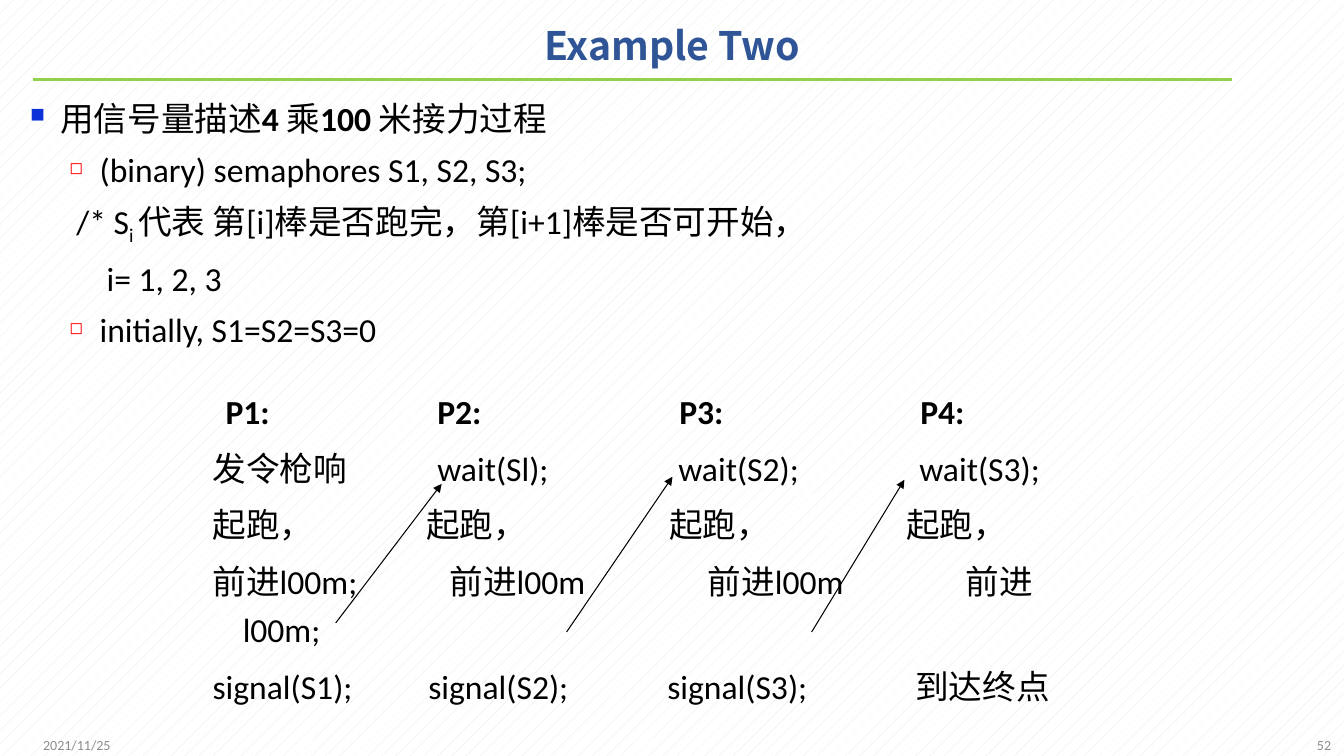
"""Build the relay-race semaphore slide."""
from typing import NamedTuple

from lxml import etree
from pptx import Presentation
from pptx import util as u
from pptx.dml.color import RGBColor
from pptx.enum import dml, shapes, text
from pptx.oxml import ns

COLORS = {
    "black": "000000", "title": "2F5597", "rule": "92D050", "footer": "8C8C8C",
    "square": "0B32D9", "box": "FF0000", "hatch": "DCECE0", "paper": "FFFFFF",
}
CJK_FONT = "Noto Sans CJK SC"
ROW_HEIGHT = u.Pt(34.7)
ROW_GAP = 5.6


class Run(NamedTuple):
    content: str
    bold: bool = False
    subscript: bool = False


class Style(NamedTuple):
    size: float = 24
    color: str = "black"
    font: str = "Calibri"


class Bullet(NamedTuple):
    symbol: str
    color: str
    percent: int


class Line(NamedTuple):
    runs: list[Run]
    margin: float = 0
    hanging: float = 0
    spacing: float | u.Length = 1.0
    before: float = 0
    bullet: Bullet | None = None
    align: text.PP_ALIGN = text.PP_ALIGN.LEFT


class Box(NamedTuple):
    left: float
    top: float
    width: float
    height: float
    lines: list[Line]
    style: Style = Style()
    anchor: text.MSO_ANCHOR = text.MSO_ANCHOR.TOP


class Process(NamedTuple):
    left: float
    steps: list[str]
    margins: list[float]


class Stroke(NamedTuple):
    start: tuple[float, float]
    end: tuple[float, float]
    color: str = "black"
    width: float = 0.75
    arrow: bool = True


def add_element(parent, tag: str, **attributes: str):
    element = etree.SubElement(parent, ns.qn(tag))
    for name, value in attributes.items():
        element.set(name, value)
    return element


def add_run(paragraph, run: Run, style: Style) -> None:
    new_run = paragraph.add_run()
    new_run.text = run.content
    font = new_run.font
    font.size, font.bold, font.name = u.Pt(style.size), run.bold, style.font
    font.color.rgb = RGBColor.from_string(COLORS[style.color])
    properties = new_run._r.get_or_add_rPr()
    add_element(properties, "a:ea", typeface=CJK_FONT)
    if run.subscript:
        properties.set("baseline", "-25000")


def format_paragraph(paragraph, line: Line) -> None:
    paragraph.alignment = line.align
    paragraph.line_spacing = line.spacing
    paragraph.space_before = u.Pt(line.before)
    properties = paragraph._p.get_or_add_pPr()
    properties.set("marL", str(u.Inches(line.margin)))
    properties.set("indent", str(-u.Inches(line.hanging)))
    if line.bullet:
        color = add_element(properties, "a:buClr")
        add_element(color, "a:srgbClr", val=COLORS[line.bullet.color])
        add_element(properties, "a:buSzPct", val=str(line.bullet.percent * 1000))
        add_element(properties, "a:buChar", char=line.bullet.symbol)


def add_box(slide, box: Box) -> None:
    shape = slide.shapes.add_textbox(
        u.Inches(box.left), u.Inches(box.top), u.Inches(box.width), u.Inches(box.height))
    frame = shape.text_frame
    frame.word_wrap = True
    frame.vertical_anchor = box.anchor
    for index, line in enumerate(box.lines):
        paragraph = frame.add_paragraph() if index else frame.paragraphs[0]
        format_paragraph(paragraph, line)
        for run in line.runs:
            if run.content == "\n":
                paragraph.add_line_break()
            else:
                add_run(paragraph, run, box.style)


def add_stroke(slide, stroke: Stroke) -> None:
    points = (u.Inches(value) for value in (*stroke.start, *stroke.end))
    connector = slide.shapes.add_connector(shapes.MSO_CONNECTOR.STRAIGHT, *points)
    connector.line.width = u.Pt(stroke.width)
    connector.line.color.rgb = RGBColor.from_string(COLORS[stroke.color])
    if stroke.arrow:
        add_element(connector.line._get_or_add_ln(), "a:tailEnd", type="triangle")
    add_element(connector._element.spPr, "a:effectLst")


def process_box(process: Process, overflow: str = "") -> Box:
    lines = []
    last = len(process.steps) - 1
    for index, (step, margin) in enumerate(zip(process.steps, process.margins)):
        runs, hanging = [Run(step, bold=index == 0)], 0.0
        before = ROW_GAP if index else 0
        if overflow and index == last - 1:
            runs += [Run("\n"), Run(overflow)]
            margin = hanging = 0.3
        elif not overflow and index == last:
            before += ROW_HEIGHT.pt
        lines.append(Line(runs, margin, hanging, ROW_HEIGHT, before))
    return Box(process.left, 3.75, 2.3, 3.41, lines)


def detail(runs: list[Run], margin: float, bullet: Bullet | None = None) -> Line:
    return Line(runs, margin, 0.3 if bullet else 0, 1.1, 5, bullet)


SQUARE = Bullet("■", "square", 60)
HOLLOW = Bullet("◻", "box", 50)
FOOTER = Style(10, "footer")
MIDDLE = text.MSO_ANCHOR.MIDDLE

BOXES = [
    Box(0.34, 0.09, 12.65, 0.77,
        [Line([Run("Example Two", True)], spacing=0.9, align=text.PP_ALIGN.CENTER)],
        Style(28, "title", CJK_FONT), MIDDLE),
    Box(0.2, 0.84, 12.94, 2.8, [
        Line([Run("用信号量描述"), Run("4 ", True), Run("乘"), Run("100 ", True),
              Run("米接力过程")], 0.3, 0.3, 1.2, bullet=SQUARE),
        detail([Run("(binary) semaphores S1, S2, S3;")], 0.69, HOLLOW),
        detail([Run("/* S"), Run("i ", subscript=True),
                Run("代表 第[i]棒是否跑完，第[i+1]棒是否可开始，")], 0.46),
        detail([Run("i= 1, 2, 3")], 0.76),
        detail([Run("initially, S1=S2=S3=0")], 0.69, HOLLOW),
    ]),
    Box(0.33, 7.19, 3, 0.4, [Line([Run("2021/11/25")])], FOOTER, MIDDLE),
    Box(10.3, 7.19, 3, 0.4, [Line([Run("52")], align=text.PP_ALIGN.RIGHT)],
        FOOTER, MIDDLE),
    process_box(Process(2.01, ["P1:", "发令枪响", "起跑，", "前进l00m;", "signal(S1);"],
                        [0.13, 0, 0, 0, 0]), overflow="l00m;"),
    process_box(Process(4.13, ["P2:", "wait(Sl);", "起跑，", "前进l00m", "signal(S2);"],
                        [0.11, 0.11, 0, 0.23, 0.02])),
    process_box(Process(6.52, ["P3:", "wait(S2);", "起跑，", "前进l00m", "signal(S3);"],
                        [0.12, 0.11, 0.02, 0.4, 0])),
    process_box(Process(8.89, ["P4:", "wait(S3);", "起跑，", "前进", "到达终点"],
                        [0.14, 0.13, 0, 0.59, 0.09])),
]

STROKES = [
    Stroke((0.33, 0.79), (12.22, 0.79), "rule", 2.25, False),
    Stroke((3.33, 6.18), (4.38, 4.8)),
    Stroke((5.62, 6.27), (6.67, 4.73)),
    Stroke((8.05, 6.27), (8.97, 4.76)),
]


def main() -> None:
    presentation = Presentation()
    presentation.slide_width, presentation.slide_height = u.Inches(13.33), u.Inches(7.5)
    slide = presentation.slides.add_slide(presentation.slide_layouts[6])
    fill = slide.background.fill
    fill.patterned()
    fill.pattern = dml.MSO_PATTERN.PERCENT_5
    fill.fore_color.rgb = RGBColor.from_string(COLORS["hatch"])
    fill.back_color.rgb = RGBColor.from_string(COLORS["paper"])
    for box in BOXES:
        add_box(slide, box)
    for stroke in STROKES:
        add_stroke(slide, stroke)
    presentation.save("out.pptx")


if __name__ == "__main__":
    main()
